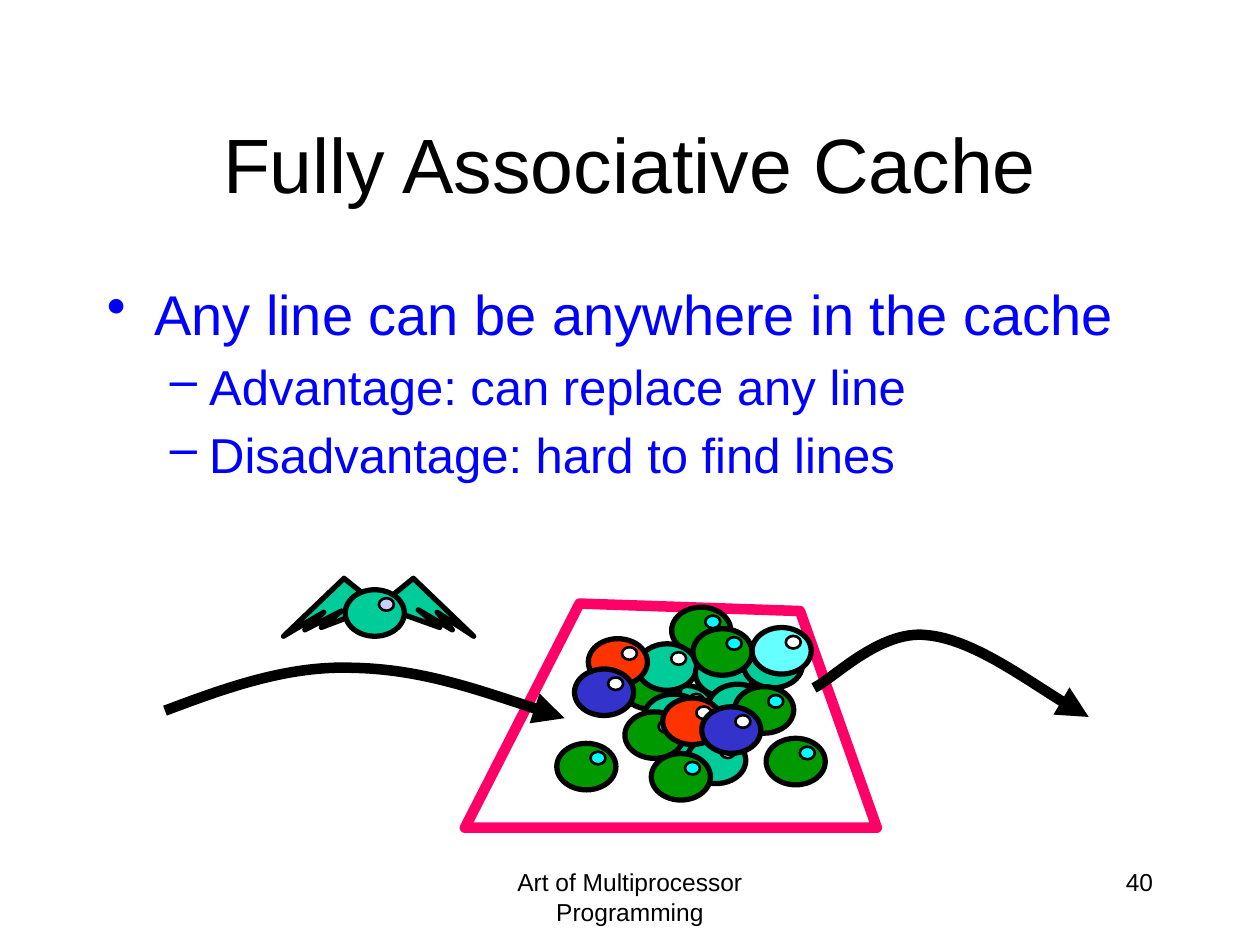
from dataclasses import dataclass

from lxml import etree
from pptx import Presentation
from pptx import util as u
from pptx.dml.color import RGBColor
from pptx.enum import shapes, text
from pptx.oxml import ns

COLORS = {
    "black": "000000", "white": "FFFFFF", "blue": "0000FF", "pink": "FF0066",
    "green": "009900", "teal": "00CC99", "cyan": "00FFFF", "red": "FF3300",
    "sky": "66FFFF", "indigo": "3333CC", "lavender": "CCCCFF",
}
BALL_SIZE = (33.8, 26.6)
GLINT_SIZE = (8.6, 7.2)
GLINT_OFFSET = (19.2, 4.8)

Point = tuple[float, float]


@dataclass
class Ball:
    left: float
    top: float
    color: str
    glint: str = "white"


@dataclass
class Line:
    words: str
    size: float
    color: str = "black"
    align: text.PP_ALIGN = text.PP_ALIGN.LEFT
    bullet: str = ""
    margin: float = 0
    hang: float = 0


CACHED_BALLS = [
    Ball(383.8, 347, "green", "cyan"),
    Ball(374.4, 391.7, "teal"),
    Ball(355, 378.7, "green", "cyan"),
    Ball(386.6, 403.9, "teal"),
    Ball(367.9, 396.7, "teal"),
    Ball(380.2, 409, "teal"),
    Ball(392.4, 421.2, "teal"),
    Ball(364.3, 367.9, "teal"),
    Ball(397.4, 371.5, "teal"),
    Ball(404.6, 391, "teal"),
    Ball(424.8, 366.5, "teal"),
    Ball(396, 359.3, "green", "cyan"),
    Ball(357.1, 406.8, "green", "cyan"),
    Ball(419.8, 392.4, "green", "cyan"),
    Ball(437.8, 421.9, "green", "cyan"),
    Ball(372.2, 430.6, "green", "cyan"),
    Ball(318.2, 424.8, "green", "cyan"),
]
TOP_BALLS = [
    Ball(378.7, 398.9, "red"),
    Ball(336.2, 365, "red"),
    Ball(429.8, 358.6, "sky"),
    Ball(328.3, 382.3, "indigo"),
    Ball(401, 403.9, "indigo"),
]
WINGED_BALL = Ball(197.3, 337, "teal", "lavender")
WINGS = [
    [(220.3, 343.4), (236.2, 330.5), (270.7, 363.6), (249.8, 349.9),
     (258.5, 360), (239, 348.5), (251.3, 358.6), (216.7, 346.3)],
    [(211.7, 342.7), (196.6, 330.5), (162, 363.6), (185, 349.9),
     (174.2, 360), (195.1, 349.2), (183.6, 358.6), (216, 346.3)],
]
CACHE_FRAME = [(331.2, 344.9), (265.7, 473), (501.1, 473), (457.2, 349.2)]
ARROW_IN = [(94.3, 406.1), (128.9, 393.1), (164.2, 380.2), (201.6, 381.6),
            (239.8, 382.3), (280.8, 396.7), (322.6, 410.4)]
ARROW_OUT = [(465.1, 393.1), (475.9, 388.1), (502.6, 360), (529.2, 362.9),
             (555.1, 365), (602.6, 399.6), (622.1, 409.7)]


def rgb(name: str) -> RGBColor:
    return RGBColor.from_string(COLORS[name])


def style(shape, fill: str | None, line: str, width: float) -> None:
    shape.shadow.inherit = False
    if fill:
        shape.fill.solid()
        shape.fill.fore_color.rgb = rgb(fill)
    else:
        shape.fill.background()
    shape.line.color.rgb = rgb(line)
    shape.line.width = u.Pt(width)


def add_text(page, left: float, top: float, width: float, height: float,
             lines: list[Line], anchor=text.MSO_ANCHOR.TOP) -> None:
    box = page.shapes.add_textbox(u.Pt(left), u.Pt(top), u.Pt(width), u.Pt(height))
    frame = box.text_frame
    frame.word_wrap = True
    frame.vertical_anchor = anchor
    for index, line in enumerate(lines):
        para = frame.add_paragraph() if index else frame.paragraphs[0]
        para.text = line.words
        para.alignment = line.align
        para.font.name = "Arial"
        para.font.size = u.Pt(line.size)
        para.font.color.rgb = rgb(line.color)
        if line.bullet:
            para.space_before = u.Pt(line.size * 0.2)
            add_bullet(para, line)


def add_bullet(para, line: Line) -> None:
    props = para._p.get_or_add_pPr()
    props.set("marL", str(u.Pt(line.margin)))
    props.set("indent", str(u.Pt(-line.hang)))
    bullet = etree.Element(ns.qn("a:buChar"), char=line.bullet)
    props.find(ns.qn("a:defRPr")).addprevious(bullet)


def add_outline(page, points: list[Point], closed: bool):
    start, *rest = [(u.Pt(x), u.Pt(y)) for x, y in points]
    builder = page.shapes.build_freeform(*start)
    builder.add_line_segments(rest, close=closed)
    return builder.convert_to_shape()


def add_curved_arrow(page, points: list[Point]) -> None:
    """Draw cubic curves: a start, then two controls and an end for each."""
    arrow = add_outline(page, points, closed=False)
    style(arrow, None, "black", 6)
    segments = list(arrow._element.iter(ns.qn("a:lnTo")))
    for first in range(0, len(segments), 3):
        curve = etree.Element(ns.qn("a:cubicBezTo"))
        segments[first].addprevious(curve)
        for segment in segments[first:first + 3]:
            curve.append(segment[0])
            segment.getparent().remove(segment)
    etree.SubElement(arrow.line._get_or_add_ln(), ns.qn("a:tailEnd"), type="triangle")


def add_ellipse(page, left: float, top: float, size: Point,
                fill: str, line_width: float) -> None:
    ellipse = page.shapes.add_shape(
        shapes.MSO_SHAPE.OVAL, u.Pt(left), u.Pt(top), *map(u.Pt, size))
    style(ellipse, fill, "black", line_width)


def add_ball(page, ball: Ball) -> None:
    add_ellipse(page, ball.left, ball.top, BALL_SIZE, ball.color, 3)
    add_ellipse(page, ball.left + GLINT_OFFSET[0], ball.top + GLINT_OFFSET[1],
                GLINT_SIZE, ball.glint, 1.5)


def main() -> None:
    deck = Presentation()
    deck.slide_width, deck.slide_height = u.Pt(720), u.Pt(540)
    page = deck.slides.add_slide(deck.slide_layouts[6])

    center, right = text.PP_ALIGN.CENTER, text.PP_ALIGN.RIGHT
    add_text(page, 246, 492, 228, 36,
             [Line("Art of Multiprocessor Programming", 14, align=center)])
    add_text(page, 516, 492, 150, 36, [Line("40", 14, align=right)])
    add_text(page, 54, 48, 612, 90, [Line("Fully Associative Cache", 44, align=center)],
             text.MSO_ANCHOR.MIDDLE)
    dash = {"size": 28, "color": "blue", "bullet": "–", "margin": 58.5, "hang": 22.5}
    add_text(page, 54, 156, 612, 324, [
        Line("Any line can be anywhere in the cache", 32, "blue",
             bullet="•", margin=27, hang=27),
        Line("Advantage: can replace any line", **dash),
        Line("Disadvantage: hard to find lines", **dash),
    ])

    style(add_outline(page, CACHE_FRAME, closed=True), None, "pink", 6)
    for ball in CACHED_BALLS:
        add_ball(page, ball)
    for wing in WINGS:
        style(add_outline(page, wing, closed=True), "teal", "black", 3)
    add_ball(page, WINGED_BALL)
    for arrow in (ARROW_IN, ARROW_OUT):
        add_curved_arrow(page, arrow)
    for ball in TOP_BALLS:
        add_ball(page, ball)
    deck.save("out.pptx")


if __name__ == "__main__":
    main()
